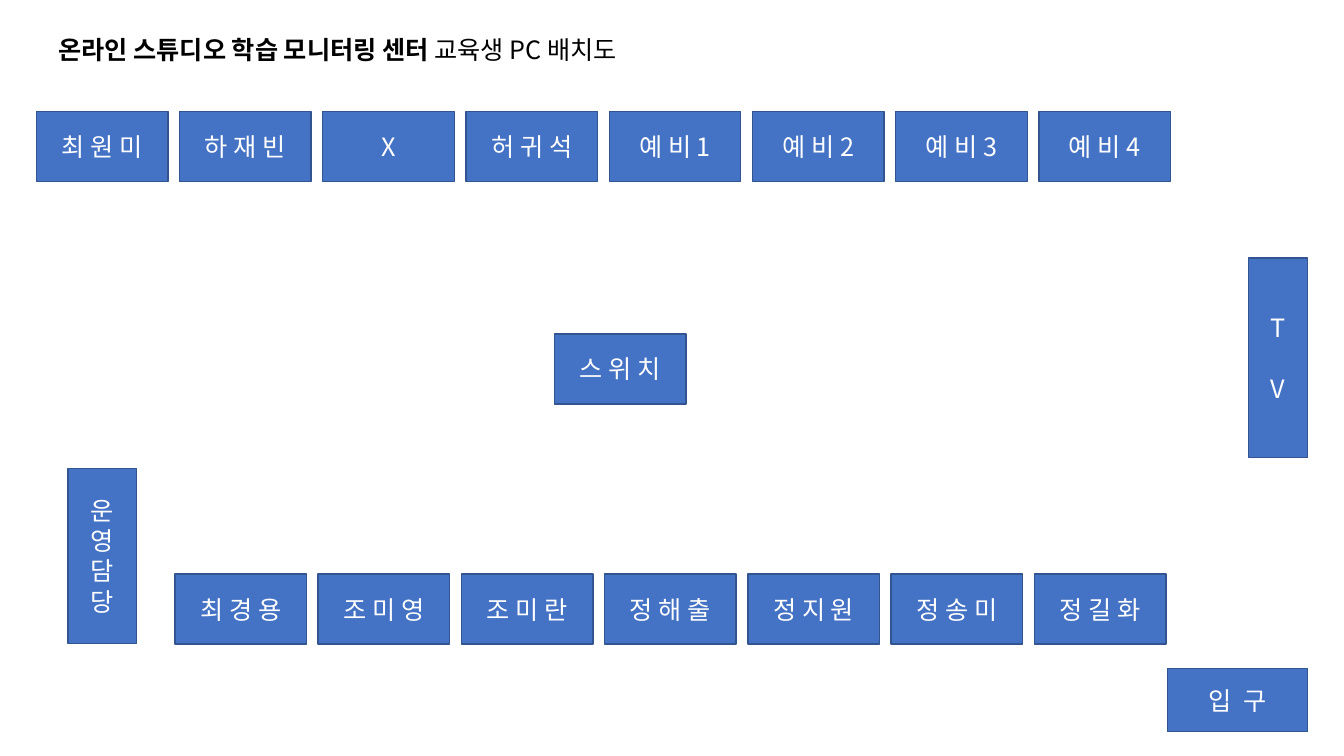
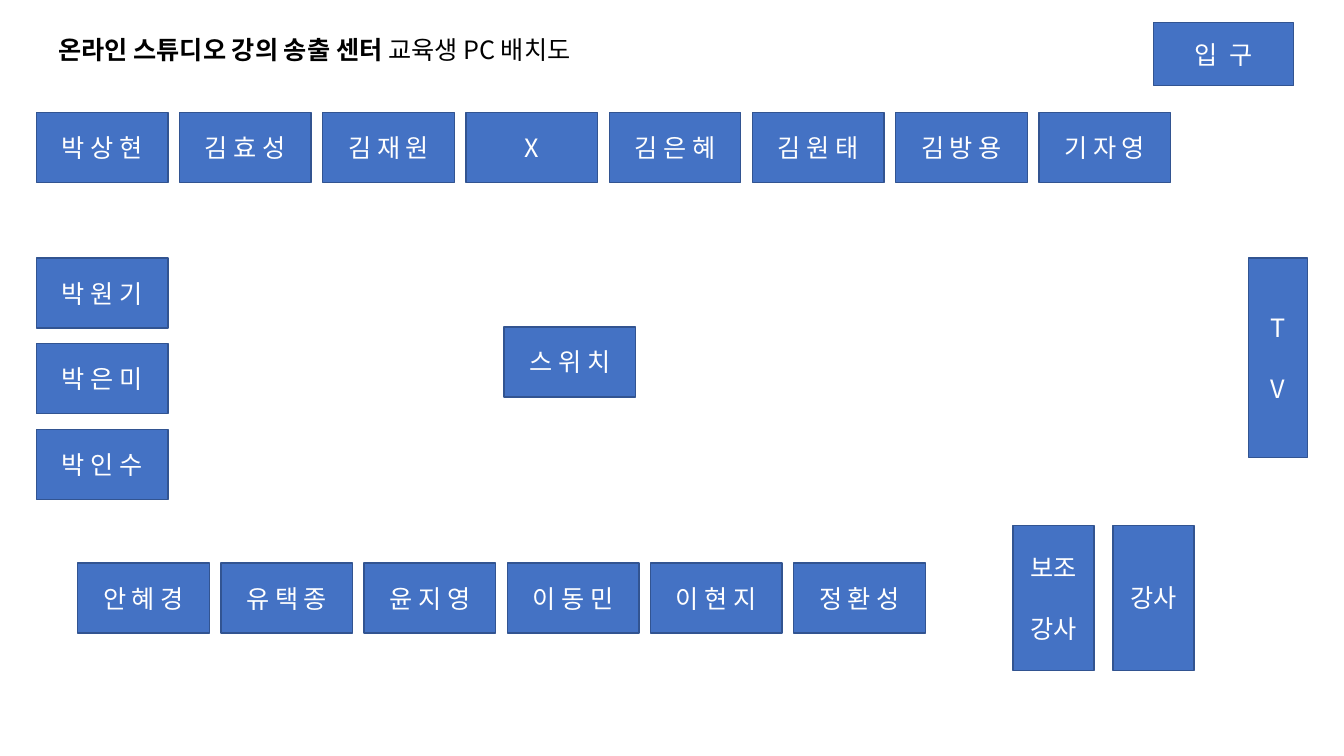
from pptx import Presentation
from pptx.dml.color import RGBColor
from pptx.enum.shapes import MSO_SHAPE
from pptx.enum.text import MSO_ANCHOR, PP_ALIGN
from pptx.oxml.ns import qn
from pptx.util import Pt

# Shared style
BLUE = RGBColor(0x44, 0x72, 0xC4)
NAVY = RGBColor(0x32, 0x54, 0x91)
WHITE = RGBColor(0xFF, 0xFF, 0xFF)
BLACK = RGBColor(0x00, 0x00, 0x00)
FONT = "Noto Sans CJK KR"
TEXT_SIZE = 18
LINE_HEIGHT = 21.6

# Seat grid, in points
SEAT_W, SEAT_H = 94, 50
COLUMN_STEP, ROW_STEP = 102.3, 61.3
LEFT = 26


def add_run(p, text, color, bold=False):
    r = p.add_run()
    r.text = text
    r.font.size = Pt(TEXT_SIZE)
    r.font.bold = bold
    r.font.color.rgb = color
    r.font.name = FONT
    east_asian = r.font._element.makeelement(qn("a:ea"), {"typeface": FONT})
    r.font._element.find(qn("a:latin")).addnext(east_asian)


def add_title(s, center, subject):
    tf = s.shapes.add_textbox(Pt(34.5), Pt(21), Pt(463), Pt(29)).text_frame
    tf.word_wrap = True
    p = tf.paragraphs[0]
    p.line_spacing = Pt(LINE_HEIGHT)
    add_run(p, center, BLACK, bold=True)
    add_run(p, subject, BLACK)


def add_box(s, lines, x, y, w=SEAT_W, h=SEAT_H, gap=0):
    """Draw a labelled box with one paragraph per line."""
    sp = s.shapes.add_shape(MSO_SHAPE.RECTANGLE, Pt(x), Pt(y), Pt(w), Pt(h))
    sp.shadow.inherit = False
    sp.fill.solid()
    sp.fill.fore_color.rgb = BLUE
    sp.line.color.rgb = NAVY
    sp.line.width = Pt(1)
    tf = sp.text_frame
    tf.word_wrap = True
    tf.vertical_anchor = MSO_ANCHOR.MIDDLE
    for i, line in enumerate(lines):
        p = tf.add_paragraph() if i else tf.paragraphs[0]
        p.alignment = PP_ALIGN.CENTER
        p.line_spacing = Pt(LINE_HEIGHT)
        p.space_before = Pt(gap if i else 0)
        add_run(p, line, WHITE)


def add_seats(s, names, x, y, dx=COLUMN_STEP, dy=0):
    for i, name in enumerate(names):
        add_box(s, [name], x + i * dx, y + i * dy)


def add_room(prs, center, entrance, switch):
    """Start a slide with what both rooms have: title, entrance, switch, TV."""
    s = prs.slides.add_slide(prs.slide_layouts[6])
    add_title(s, center, " 교육생 PC 배치도")
    add_box(s, ["입  구"], *entrance, 100, 45)
    add_box(s, ["스 위 치"], *switch)
    add_box(s, ["T", "V"], 892, 184.3, 42, 142.5, gap=LINE_HEIGHT)
    return s


def add_monitoring_center(prs):
    s = add_room(prs, "온라인 스튜디오 학습 모니터링 센터", (834, 477.5), (396, 238.5))
    add_seats(s, ["최 원 미", "하 재 빈", "X", "허 귀 석",
                  "예 비 1", "예 비 2", "예 비 3", "예 비 4"], LEFT, 79.5)
    add_seats(s, ["최 경 용", "조 미 영", "조 미 란", "정 해 출",
                  "정 지 원", "정 송 미", "정 길 화"], 125, 410)
    add_box(s, "운영담당", 48.5, 334.5, 49, 125)


def add_broadcast_center(prs):
    s = add_room(prs, "온라인 스튜디오 강의 송출 센터", (824, 16.3), (360, 233.5))
    add_seats(s, ["박 상 현", "김 효 성", "김 재 원", "X",
                  "김 은 혜", "김 원 태", "김 방 용", "기 자 영"], LEFT, 80.3)
    add_seats(s, ["박 원 기", "박 은 미", "박 인 수"], LEFT, 184.3, dx=0, dy=ROW_STEP)
    add_seats(s, ["안 혜 경", "유 택 종", "윤 지 영",
                  "이 동 민", "이 현 지", "정 환 성"], 55.5, 402.3)
    # Teaching desks
    add_box(s, ["보조", "강사"], 723.5, 375.3, 58, 103.5, gap=LINE_HEIGHT)
    add_box(s, ["강사"], 795, 375.3, 58, 103.5)


def main():
    prs = Presentation()
    prs.slide_width, prs.slide_height = Pt(960), Pt(540)
    add_monitoring_center(prs)
    add_broadcast_center(prs)
    prs.save("out.pptx")


if __name__ == "__main__":
    main()
